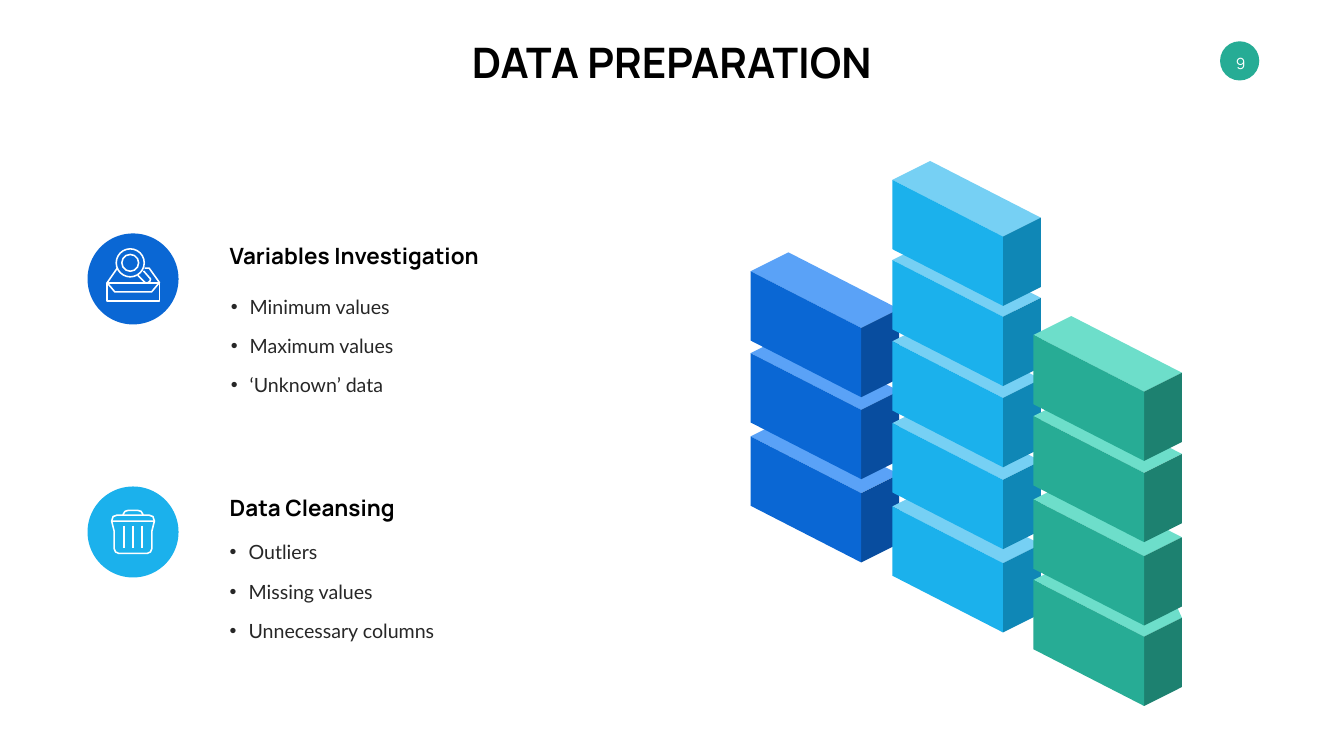
from dataclasses import dataclass, field

from lxml import etree
from pptx import Presentation
from pptx.dml.color import RGBColor
from pptx.enum.shapes import MSO_SHAPE
from pptx.enum.text import MSO_ANCHOR, PP_ALIGN
from pptx.oxml.ns import qn
from pptx.util import Pt

COLORS = {
    "white": "FFFFFF", "title": "000000", "body": "272727", "page": "26AC95",
    "blue": "0A67D4", "blue_lid": "5AA2F7", "blue_side": "084D9F",
    "cyan": "1BB1EC", "cyan_lid": "76D0F4", "cyan_side": "0F87B6",
    "green": "27AC95", "green_lid": "6DDECA", "green_side": "1D8170",
}
Points = list[tuple[float, float]]

# Isometric block: front width and drop, side depth and rise, height
WIDTH, DROP, DEPTH, RISE, HEIGHT = 158, 81, 54, 27, 99
BADGE_LEFT, BADGE_SIZE, TEXT_LEFT = 125, 130, 321


@dataclass
class Tower:
    color: str
    left: float
    tops: list[float]  # front left corner of each block, lowest first
    bulge: Points = field(default_factory=list)  # rounded lid of the lowest block


@dataclass
class Icon:
    lines: list[Points]
    outlines: list[Points] = field(default_factory=list)
    rings: list[tuple[float, float, float]] = field(default_factory=list)


@dataclass
class Topic:
    color: str
    badge_top: float
    heading: str
    heading_top: float
    list_left: float
    list_top: float
    items: list[str]
    icon: Icon


TOWERS = [
    Tower("blue", 1072, [623.5, 504.5, 387.5]),
    Tower("cyan", 1274.5, [723.5, 604.5, 487.5, 371.5, 257]),
    Tower("green", 1476, [828.5, 713.5, 594.5, 478.5],
          [(202, 32), (176, 1), (130, -24), (94, -30)]),
]

# Icon points count from the top left of the badge
TRAY = Icon(
    lines=[
        [(28, 70.5), (39, 83.5), (91.5, 83.5), (102, 71)],
        [(28, 70.5), (42.5, 49.5)],
        [(81.5, 49.5), (88, 49.5), (103, 70.5)],
        [(28, 70.5), (75, 70.5)],
        [(96, 70.5), (103, 70.5)],
        [(72, 60), (82, 70), (85, 71), (89, 68.5), (90, 65), (80, 53.5)],
    ],
    outlines=[[(28, 70.5), (103, 70.5), (103, 96.5), (28, 96.5)]],
    rings=[(61, 42, 20), (61, 42, 12)],
)
BIN = Icon(
    lines=[
        [(34.5, 49.5), (36.5, 43), (42, 41), (88, 41), (93.5, 43), (95.5, 49.5)],
        [(50.5, 40.5), (53.5, 35.5), (58.5, 34), (71.5, 34), (76.5, 35.5), (79.5, 40.5)],
    ] + [[(x, 56), (x, 88.5)] for x in (52, 65, 78)],
    outlines=[[(34.5, 49.5), (38, 63.5), (38, 88.5), (40, 93.5), (44.5, 95.5),
               (85.5, 95.5), (90, 93.5), (92, 88.5), (92, 63.5), (95.5, 49.5)]],
)
TOPICS = [
    Topic("blue", 333.5, "Variables Investigation", 341.5, 322.5, 400.5,
          ["Minimum values", "Maximum values", "‘Unknown’ data"], TRAY),
    Topic("cyan", 695, "Data Cleansing", 702, 321, 751.5,
          ["Outliers", "Missing values", "Unnecessary columns"], BIN),
]

prs = Presentation()
prs.slide_width, prs.slide_height = Pt(1919.52), Pt(1080)
slide = prs.slides.add_slide(prs.slide_layouts[6])
shapes = slide.shapes


def rgb(name: str) -> RGBColor:
    return RGBColor.from_string(COLORS[name])


def paint(shape, fill: str | None, line: float = 0) -> None:
    """Fill with a colour, or leave hollow with a white outline."""
    shape.shadow.inherit = False
    if fill:
        shape.fill.solid()
        shape.fill.fore_color.rgb = rgb(fill)
    else:
        shape.fill.background()
    if line:
        shape.line.width = Pt(line)
        shape.line.color.rgb = rgb("white")
    else:
        shape.line.fill.background()


def polygon(points: Points, x: float, y: float, fill: str | None,
            line: float = 0, close: bool = True) -> None:
    moved = [(Pt(x + dx), Pt(y + dy)) for dx, dy in points]
    builder = shapes.build_freeform(*moved[0])
    builder.add_line_segments(moved[1:], close=close)
    paint(builder.convert_to_shape(), fill, line)


def circle(x: float, y: float, size: float, fill: str | None, line: float = 0) -> None:
    paint(shapes.add_shape(MSO_SHAPE.OVAL, Pt(x), Pt(y), Pt(size), Pt(size)), fill, line)


def text(lines: list[str], box: tuple[float, float, float, float], size: float,
         color: str, font: str = "Manrope", bold: bool = False,
         align: PP_ALIGN = PP_ALIGN.LEFT, anchor: MSO_ANCHOR = MSO_ANCHOR.TOP,
         wrap: bool = True, bullets: bool = False) -> None:
    frame = shapes.add_textbox(*map(Pt, box)).text_frame
    frame.word_wrap, frame.vertical_anchor = wrap, anchor
    for i, line in enumerate(lines):
        para = frame.paragraphs[0] if i == 0 else frame.add_paragraph()
        para.alignment = align
        run = para.add_run()
        run.text = line
        run.font.name, run.font.size, run.font.bold = font, Pt(size), bold
        run.font.color.rgb = rgb(color)
        if bullets:
            para.line_spacing, para.space_before = 1.5, Pt(5.6)
            props = para._p.get_or_add_pPr()
            props.set("marL", str(Pt(27)))
            props.set("indent", str(-Pt(27)))
            etree.SubElement(props, qn("a:buFont")).set("typeface", "Arial")
            etree.SubElement(props, qn("a:buChar")).set("char", "•")


def draw_tower(tower: Tower) -> None:
    for i, top in enumerate(tower.tops):
        bulge = tower.bulge if i == 0 else []
        right = WIDTH + DEPTH
        faces = {
            "_lid": [(0, 0), (WIDTH, DROP), (right, DROP - RISE), *bulge, (DEPTH, -RISE)],
            "_side": [(WIDTH, DROP), (right, DROP - RISE),
                      (right, DROP - RISE + HEIGHT), (WIDTH, DROP + HEIGHT)],
            "": [(0, 0), (WIDTH, DROP), (WIDTH, DROP + HEIGHT), (0, HEIGHT)],
        }
        for suffix, points in faces.items():
            polygon(points, tower.left, top, tower.color + suffix)


def draw_topic(topic: Topic) -> None:
    x, y, icon = BADGE_LEFT, topic.badge_top, topic.icon
    circle(x, y, BADGE_SIZE, topic.color)
    for line in icon.lines:
        polygon(line, x, y, None, 2.25, close=False)
    for outline in icon.outlines:
        polygon(outline, x, y, None, 2.25)
    for cx, cy, radius in icon.rings:
        circle(x + cx - radius, y + cy - radius, 2 * radius, None, 2.25)
    text([topic.heading], (TEXT_LEFT, topic.heading_top, 402, 46), 32, "title",
         bold=True, anchor=MSO_ANCHOR.BOTTOM, wrap=False)
    text(topic.items, (topic.list_left, topic.list_top, 582.5, 167), 28, "body",
         font="Lato", bullets=True)


# Page number
circle(1742.5, 59, 56, "page")
text(["9"], (1744, 62, 56, 56), 22, "white", align=PP_ALIGN.CENTER,
     anchor=MSO_ANCHOR.MIDDLE)

# Block towers
for tower in TOWERS:
    draw_tower(tower)

# Title and topics
text(["DATA PREPARATION"], (649.5, 48, 620, 80), 60, "title", bold=True,
     align=PP_ALIGN.CENTER, wrap=False)
for topic in TOPICS:
    draw_topic(topic)

prs.save("out.pptx")
